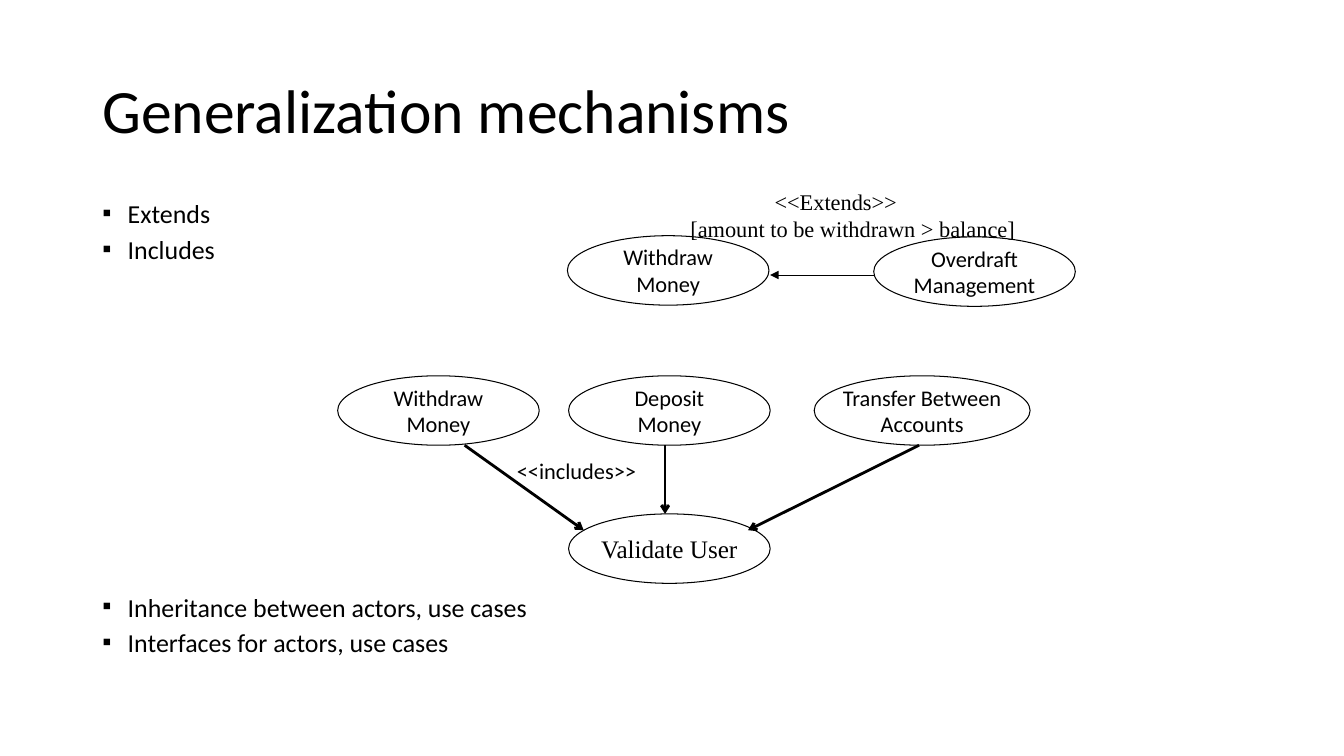
import pptx
import pptx.util
import pptx.dml.color
import pptx.enum.shapes
import pptx.enum.text
import pptx.oxml.ns
from lxml import etree

Cm = pptx.util.Cm
Pt = pptx.util.Pt
BLACK = pptx.dml.color.RGBColor(0x00, 0x00, 0x00)
WHITE = pptx.dml.color.RGBColor(0xFF, 0xFF, 0xFF)
SANS = "Calibri"
SERIF = "Times New Roman"
LEFT = pptx.enum.text.PP_ALIGN.LEFT
CENTER = pptx.enum.text.PP_ALIGN.CENTER
MIDDLE = pptx.enum.text.MSO_ANCHOR.MIDDLE
OVAL_W, OVAL_H = 5.08, 1.75


def add_child(parent, tag, **attrs):
    return etree.SubElement(parent, pptx.oxml.ns.qn(tag), attrs)


def write_lines(tf, lines, size, font=SANS, align=LEFT):
    """Write one paragraph per line and return the paragraphs."""
    for i, line in enumerate(lines):
        p = tf.paragraphs[0] if i == 0 else tf.add_paragraph()
        p.alignment = align
        r = p.add_run()
        r.text = line
        r.font.size = Pt(size)
        r.font.name = font
        r.font.color.rgb = BLACK
    return tf.paragraphs


def add_text(s, x, y, w, h, lines, size, font=SANS, align=LEFT, wrap=True):
    tf = s.shapes.add_textbox(Cm(x), Cm(y), Cm(w), Cm(h)).text_frame
    tf.word_wrap = wrap
    write_lines(tf, lines, size, font, align)
    return tf


def add_bullets(s, x, y, w, h, groups, gap):
    """Bulleted list whose groups are set apart by gap points."""
    lines = [line for group in groups for line in group]
    starts = [group[0] for group in groups[1:]]
    tf = add_text(s, x, y, w, h, lines, 18.5)
    for p, line in zip(tf.paragraphs, lines):
        p.line_spacing = 0.7
        p.space_before = Pt(gap if line in starts else 10)
        pPr = p._p.get_or_add_pPr()
        pPr.set("marL", str(Cm(0.64)))
        pPr.set("indent", str(-Cm(0.64)))
        add_child(add_child(pPr, "a:buClr"), "a:srgbClr", val=str(BLACK))
        add_child(pPr, "a:buFont", typeface="Arial")
        add_child(pPr, "a:buChar", char="▪")


def add_use_case(s, x, y, lines, w=OVAL_W, size=16, font=SANS):
    sp = s.shapes.add_shape(pptx.enum.shapes.MSO_SHAPE.OVAL,
                            Cm(x), Cm(y), Cm(w), Cm(OVAL_H))
    sp.shadow.inherit = False
    sp.fill.solid()
    sp.fill.fore_color.rgb = WHITE
    sp.line.color.rgb = BLACK
    sp.line.width = Pt(0.75)
    tf = sp.text_frame
    tf.word_wrap = False
    tf.vertical_anchor = MIDDLE
    write_lines(tf, lines, size, font, CENTER)


def add_arrow(s, x1, y1, x2, y2, width, head):
    line = s.shapes.add_connector(pptx.enum.shapes.MSO_CONNECTOR.STRAIGHT,
                                  Cm(x1), Cm(y1), Cm(x2), Cm(y2))
    line.line.color.rgb = BLACK
    line.line.width = Pt(width)
    add_child(line.line._get_or_add_ln(), "a:tailEnd", type=head)
    add_child(line._element.spPr, "a:effectLst")


def main():
    prs = pptx.Presentation()
    prs.slide_width, prs.slide_height = Cm(33.87), Cm(19.05)
    s = prs.slides.add_slide(prs.slide_layouts[6])

    # Title and bullets
    title = add_text(s, 2.33, 1.01, 29.21, 3.68, ["Generalization mechanisms"], 44)
    title.vertical_anchor = MIDDLE
    title.paragraphs[0].line_spacing = 0.9
    add_bullets(s, 2.33, 5.07, 29.21, 12.09,
                [["Extends", "Includes"],
                 ["Inheritance between actors, use cases",
                  "Interfaces for actors, use cases"]], 240)

    # Extends diagram
    add_use_case(s, 14.3, 5.94, ["Withdraw", "Money"])
    add_use_case(s, 22.02, 5.97, ["Overdraft", "Management"])
    add_arrow(s, 22.02, 6.93, 19.41, 6.93, 0.75, "triangle")
    extends = add_text(s, 17.15, 4.62, 8.74, 1.63,
                       ["<<Extends>>", "[amount to be withdrawn > balance]"],
                       16, SERIF, wrap=False)
    extends.paragraphs[0]._p.get_or_add_pPr().set("marL", str(Cm(2.12)))

    # Includes diagram
    row_y, base_y = 9.47, 12.95
    add_use_case(s, 14.33, row_y, ["Deposit", "Money"])
    add_use_case(s, 20.52, row_y, ["Transfer Between", "Accounts"], w=5.44)
    add_use_case(s, 8.51, row_y, ["Withdraw", "Money"])
    add_use_case(s, 14.33, base_y, ["Validate User"], size=18, font=SERIF)
    for x1, x2, y2 in [(11.71, 14.71, 13.36), (16.76, 16.76, base_y),
                       (23.16, 18.85, 13.36)]:
        add_arrow(s, x1, row_y + OVAL_H, x2, y2, 2, "arrow")
    add_text(s, 12.65, 11.4, 3.76, 0.94, ["<<includes>>"], 16, align=CENTER)

    prs.save("out.pptx")


if __name__ == "__main__":
    main()
